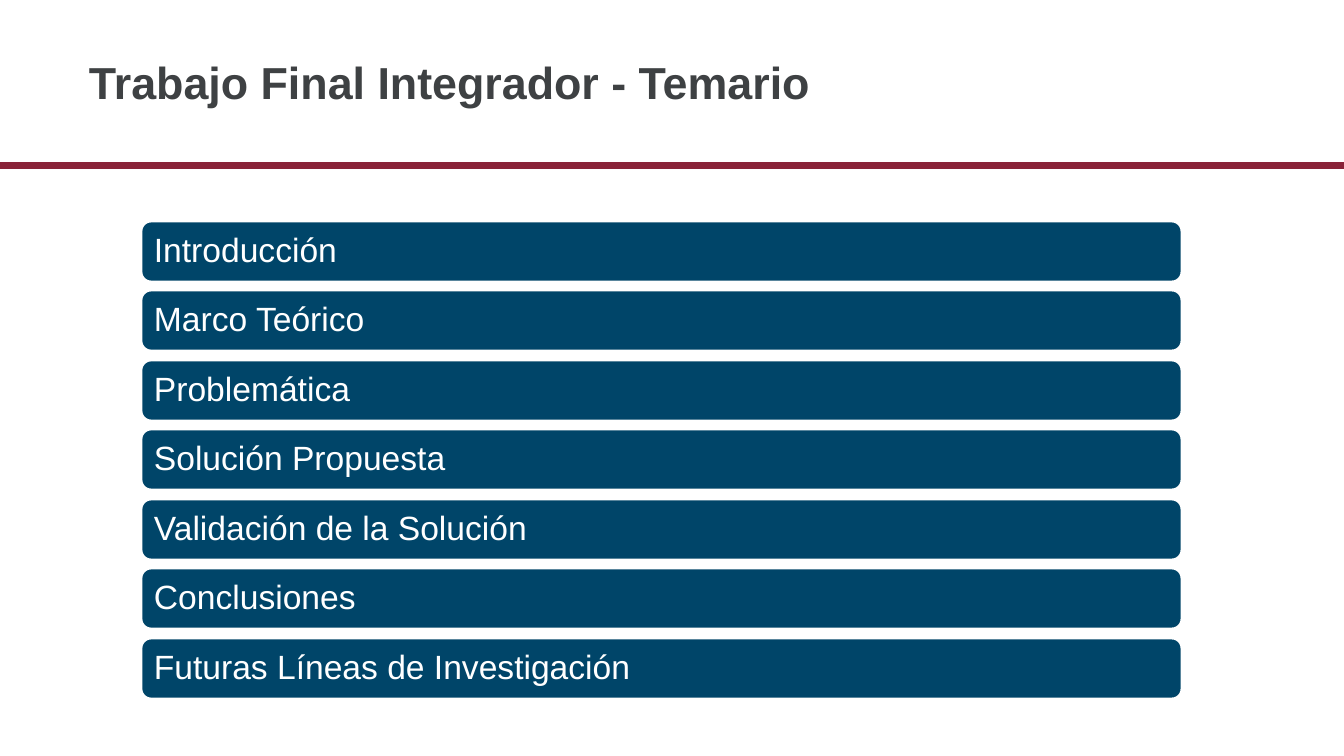
from dataclasses import dataclass

import pptx
import pptx.dml.color
import pptx.enum.shapes
import pptx.enum.text
import pptx.shapes.autoshape
import pptx.slide
import pptx.text.text
import pptx.util

WIDE, HIGH = 1344, 756
SCALE = pptx.util.Inches(7.5) / HIGH
FONT = "Arial"
WHITE = pptx.dml.color.RGBColor(0xFF, 0xFF, 0xFF)
GREY = pptx.dml.color.RGBColor(0x3E, 0x41, 0x43)
WINE = pptx.dml.color.RGBColor(0x89, 0x22, 0x38)
NAVY = pptx.dml.color.RGBColor(0x00, 0x45, 0x69)
KIND = pptx.enum.shapes.MSO_SHAPE
ANCHOR = pptx.enum.text.MSO_ANCHOR

TITLE = "Trabajo Final Integrador - Temario"
TOPICS = [
    "Introducción",
    "Marco Teórico",
    "Problemática",
    "Solución Propuesta",
    "Validación de la Solución",
    "Conclusiones",
    "Futuras Líneas de Investigación",
]
FIRST, LAST = 221, 638  # tops of the first and last bars


@dataclass
class Box:
    left: int
    top: int
    width: int
    height: int

    def emu(self) -> list[int]:
        return [px(n) for n in (self.left, self.top, self.width, self.height)]


@dataclass
class Topic:
    text: str
    box: Box


def px(count: int) -> int:
    return round(count * SCALE)


def add_run(para: pptx.text.text._Paragraph, text: str, size: int,
            color: pptx.dml.color.RGBColor, bold: bool = False) -> None:
    run = para.add_run()
    run.text = text
    run.font.name = FONT
    run.font.size = pptx.util.Pt(size)
    run.font.bold = bold
    run.font.color.rgb = color


def set_frame(frame: pptx.text.text.TextFrame, anchor: ANCHOR,
              side: int, edge: int) -> None:
    frame.word_wrap = True
    frame.auto_size = pptx.enum.text.MSO_AUTO_SIZE.NONE
    frame.vertical_anchor = anchor
    frame.margin_left = frame.margin_right = px(side)
    frame.margin_top = frame.margin_bottom = px(edge)
    frame.paragraphs[0].alignment = pptx.enum.text.PP_ALIGN.LEFT


def add_block(slide: pptx.slide.Slide, kind: KIND, box: Box,
              fill: pptx.dml.color.RGBColor,
              line: pptx.dml.color.RGBColor) -> pptx.shapes.autoshape.Shape:
    shape = slide.shapes.add_shape(kind, *box.emu())
    shape.shadow.inherit = False
    shape.fill.solid()
    shape.fill.fore_color.rgb = fill
    shape.line.color.rgb = line
    shape.line.width = pptx.util.Pt(2)
    return shape


def add_title(slide: pptx.slide.Slide) -> None:
    title = slide.shapes.title
    title.left, title.top, title.width, title.height = Box(67, 19, 1057, 94).emu()
    set_frame(title.text_frame, ANCHOR.BOTTOM, side=22, edge=5)
    add_run(title.text_frame.paragraphs[0], TITLE, 32, GREY, bold=True)


def add_topic(slide: pptx.slide.Slide, topic: Topic) -> None:
    bar = add_block(slide, KIND.ROUNDED_RECTANGLE, topic.box, NAVY, WHITE)
    set_frame(bar.text_frame, ANCHOR.MIDDLE, side=10, edge=10)
    para = bar.text_frame.paragraphs[0]
    para.line_spacing = 0.9
    add_run(para, topic.text, 24, WHITE)


def main() -> None:
    deck = pptx.Presentation()
    deck.slide_width, deck.slide_height = px(WIDE), px(HIGH)
    slide = deck.slides.add_slide(deck.slide_layouts[5])

    # Title and rule
    add_title(slide)
    add_block(slide, KIND.RECTANGLE, Box(0, 163, WIDE, 5), WINE, WINE)

    # Evenly spaced topic bars
    for i, text in enumerate(TOPICS):
        top = FIRST + (LAST - FIRST) * i // (len(TOPICS) - 1)
        add_topic(slide, Topic(text, Box(141, top, 1041, 61)))

    deck.save("out.pptx")


if __name__ == "__main__":
    main()
